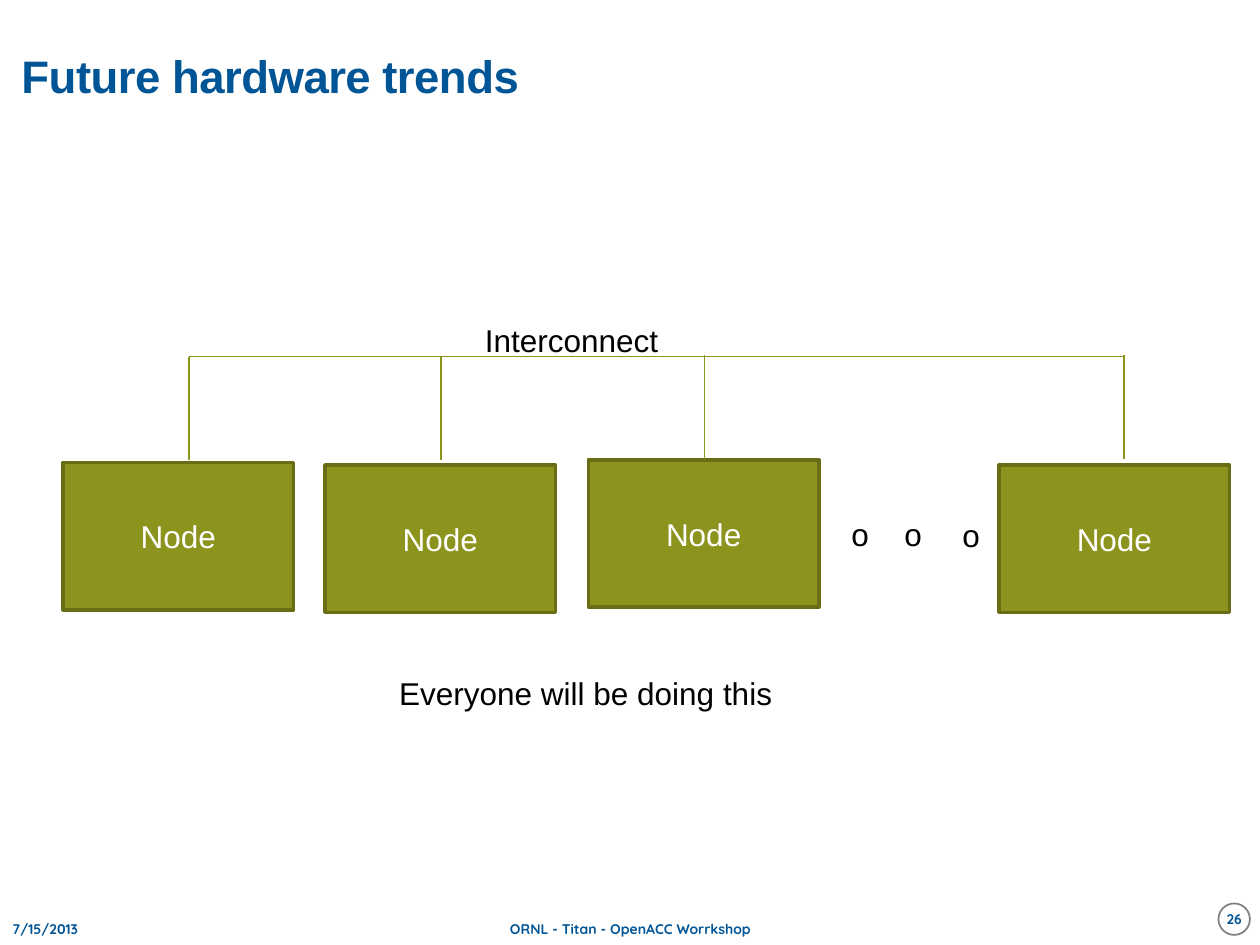
"""Build the slide on future hardware trends: nodes joined by an interconnect."""
from lxml.etree import SubElement
from pptx import Presentation
from pptx.dml.color import RGBColor
from pptx.enum.shapes import MSO_CONNECTOR as Link, MSO_SHAPE as Shape
from pptx.enum.text import MSO_ANCHOR as Anchor, MSO_AUTO_SIZE as Auto, PP_ALIGN as Align
from pptx.oxml.ns import qn
from pptx.util import Inches, Pt

BLUE = RGBColor(0x00, 0x55, 0x96)
OLIVE = RGBColor(0x8D, 0x94, 0x1E)
EDGE = RGBColor(0x68, 0x6D, 0x16)
WIRE = RGBColor(0x8C, 0x94, 0x1A)
GRAY = RGBColor(0x80, 0x80, 0x80)
BLACK = RGBColor(0, 0, 0)
WHITE = RGBColor(255, 255, 255)

TITLE = "Future hardware trends"
FOOTERS = [("7/15/2013", 0, 2.33, Align.LEFT),
           ("ORNL - Titan - OpenACC Worrkshop", 3.42, 3.17, Align.CENTER)]
PAGE = "26"
NODES = [(0.5, 3.67), (2.58, 3.69), (4.67, 3.65), (7.93, 3.69)]
NODE_SIZE = (1.83, 1.17)
BUS_Y = 2.83
DROPS = [(1.5, 2.83), (3.5, 2.83), (5.59, 2.82), (8.92, 2.82)]
DROP = 0.82
LABELS = [("o", 6.66, 4.04, 0.34), ("o", 7.08, 4.04, 0.34), ("o", 7.54, 4.05, 0.34),
          ("Interconnect", 3.75, 2.5, 1.59),
          ("Everyone will be doing this", 3.07, 5.3, 3.19)]


def place(*nums):
    return [Inches(n) for n in nums]


def write(shape, text, size, color, font="Arial", bold=False, align=Align.LEFT):
    para = shape.text_frame.paragraphs[0]
    para.text = text
    para.alignment = align
    style = para.font
    style.name, style.size, style.bold = font, Pt(size), bold
    style.color.rgb = color
    return para


def pad(frame):
    frame.margin_left = frame.margin_right = frame.margin_top = frame.margin_bottom = 0


def add_box(shapes, kind, spot, fill, edge, width):
    box = shapes.add_shape(kind, *place(*spot))
    box.shadow.inherit = False
    box.fill.solid()
    box.fill.fore_color.rgb = fill
    box.line.color.rgb = edge
    box.line.width = Pt(width)
    box.text_frame.vertical_anchor = Anchor.MIDDLE
    return box


def add_wire(shapes, *ends):
    wire = shapes.add_connector(Link.STRAIGHT, *place(*ends))
    wire.line.color.rgb = WIRE
    wire.line.width = Pt(0.75)
    SubElement(wire._element.spPr, qn("a:effectLst"))


def add_title(title):
    title.left, title.top, title.width, title.height = place(0.17, 0.17, 8, 0.92)
    frame = title.text_frame
    pad(frame)
    frame.auto_size = Auto.NONE
    frame.vertical_anchor = Anchor.MIDDLE
    para = write(title, TITLE, 26, BLUE, bold=True)
    para.line_spacing = 0.85
    para.runs[0]._r.get_or_add_rPr().set("spc", "-30")


def main():
    deck = Presentation()
    deck.slide_width, deck.slide_height = place(10, 7.5)
    shapes = deck.slides.add_slide(deck.slide_layouts[5]).shapes
    add_title(shapes.title)

    for text, left, width, align in FOOTERS:
        foot = shapes.add_textbox(*place(left, 7.25, width, 0.25))
        foot.text_frame.word_wrap = True
        foot.text_frame.vertical_anchor = Anchor.MIDDLE
        write(foot, text, 8, BLUE, "Quicksand", True, align)
    badge = add_box(shapes, Shape.OVAL, (9.67, 7.17, 0.25, 0.25), WHITE, GRAY, 1)
    pad(badge.text_frame)
    badge.text_frame.word_wrap = False
    write(badge, PAGE, 8, BLUE, "Quicksand", True, Align.CENTER)

    for spot in NODES:
        node = add_box(shapes, Shape.RECTANGLE, spot + NODE_SIZE, OLIVE, EDGE, 2)
        write(node, "Node", 18, WHITE, align=Align.CENTER)

    add_wire(shapes, DROPS[0][0], BUS_Y, DROPS[-1][0], BUS_Y)
    for x, y in DROPS:
        add_wire(shapes, x, y, x, y + DROP)

    for text, left, top, width in LABELS:
        label = shapes.add_textbox(*place(left, top, width, 0.4))
        label.text_frame.word_wrap = False
        label.text_frame.auto_size = Auto.SHAPE_TO_FIT_TEXT
        write(label, text, 18, BLACK)

    deck.save("out.pptx")


if __name__ == "__main__":
    main()
